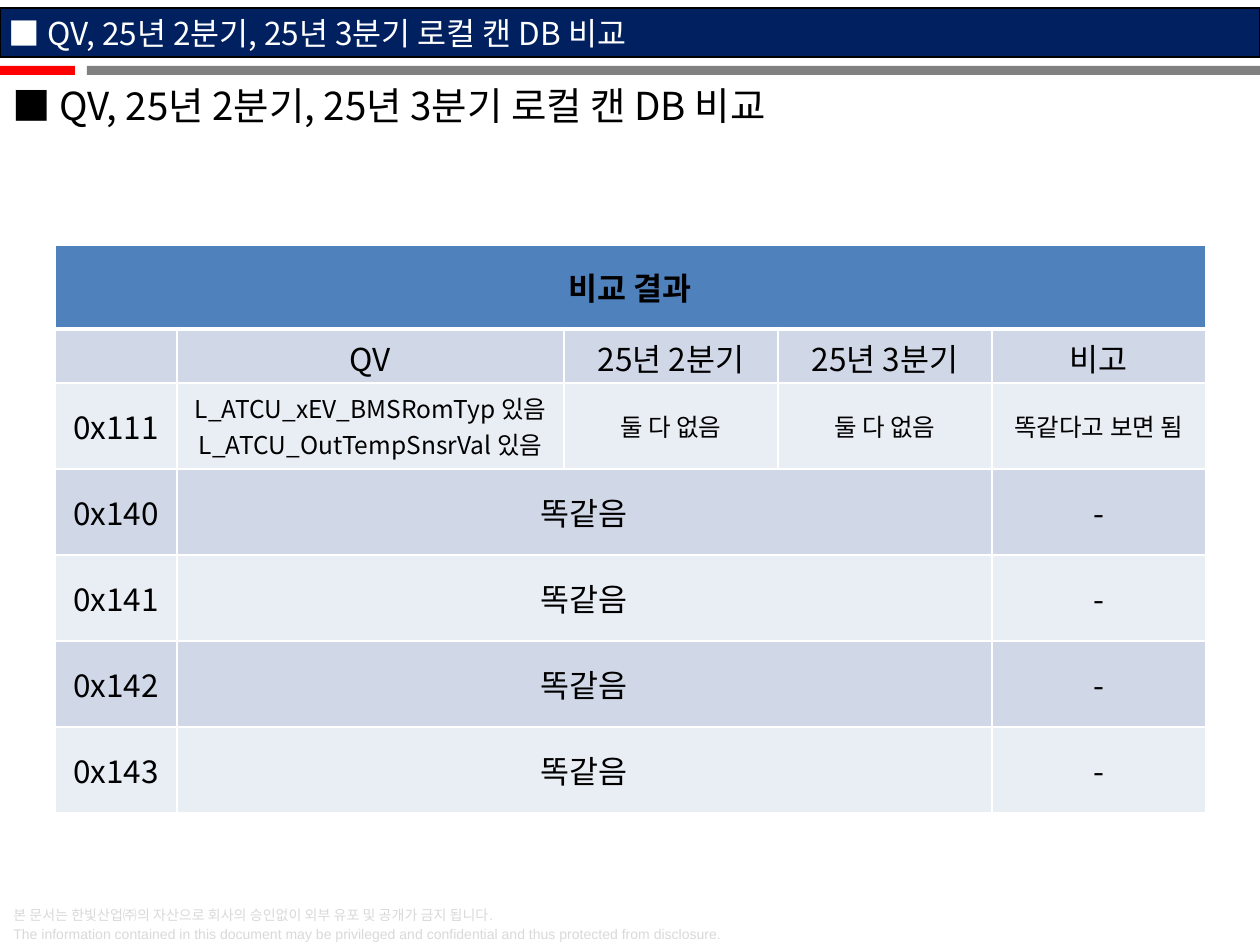
from dataclasses import dataclass

from lxml.etree import SubElement
from pptx import Presentation
from pptx.dml.color import RGBColor as Color
from pptx.enum.shapes import MSO_SHAPE as Form
from pptx.enum.text import MSO_ANCHOR as Anchor, PP_ALIGN as Align
from pptx.oxml.ns import qn
from pptx.util import Emu, Pt

SCALE = 914400 // 126


@dataclass(frozen=True)
class Theme:
    """Colours, fonts and type sizes of the slide."""
    navy: str = "002060"
    red: str = "FF0000"
    grey: str = "808080"
    pale: str = "D9D9D9"
    black: str = "000000"
    white: str = "FFFFFF"
    head: str = "4F81BD"
    bands: tuple = ("D0D8E8", "E9EDF4")
    font: str = "Noto Sans CJK KR"
    latin: str = "Arial"
    title: int = 22
    body: int = 18
    small: int = 14
    note: int = 8


class Deck:
    """Draws styled elements on the current slide."""

    def __init__(self, theme, width, height):
        """Start a deck with one blank slide."""
        self.theme = theme
        self.file = Presentation()
        self.file.slide_width, self.file.slide_height = self.px(width, height)
        self.slide = self.file.slides.add_slide(self.file.slide_layouts[6])

    def px(self, *sizes):
        """Turn px into EMU."""
        return [Emu(size * SCALE) for size in sizes]

    def set_text(self, frame, text, size, color, font=None, bold=False,
                 align=Align.LEFT, lead=None):
        """Fill a text frame, one paragraph a line."""
        frame.text = text
        for para in frame.paragraphs:
            para.alignment = align
            if lead:
                para.line_spacing = Pt(lead)
            style = para.font
            style.name = font or self.theme.font
            style.size, style.bold = Pt(size), bold
            style.color.rgb = Color.from_string(color)
            props = para._p.find(f".//{qn('a:defRPr')}")
            SubElement(props, qn("a:ea")).set("typeface", self.theme.font)

    def bar(self, box, fill, line=None):
        """Draw a flat rectangle."""
        shape = self.slide.shapes.add_shape(Form.RECTANGLE, *self.px(*box))
        shape.shadow.inherit = False
        shape.fill.solid()
        shape.fill.fore_color.rgb = Color.from_string(fill)
        if line:
            shape.line.color.rgb = Color.from_string(line)
            shape.line.width = Pt(0.75)
        else:
            shape.line.fill.background()
        return shape

    def banner(self, box, text):
        """Draw the title band."""
        look = self.theme
        frame = self.bar(box, look.navy, look.black).text_frame
        frame.word_wrap = True
        frame.vertical_anchor = Anchor.MIDDLE
        frame.margin_left, frame.margin_right = self.px(9, 9)
        frame.margin_top, frame.margin_bottom = self.px(5, 5)
        self.set_text(frame, text, look.body, look.white)

    def label(self, box, text, size, color, **style):
        """Add a wrapping text box."""
        frame = self.slide.shapes.add_textbox(*self.px(*box)).text_frame
        frame.word_wrap = True
        self.set_text(frame, text, size, color, **style)

    def edge(self, cell, **widths):
        """Set the white borders of a cell."""
        props = cell._tc.get_or_add_tcPr()
        for side in "LRTB":
            line = SubElement(props, qn(f"a:ln{side}"))
            line.set("w", str(Pt(widths.get(side, 1))))
            fill = SubElement(line, qn("a:solidFill"))
            SubElement(fill, qn("a:srgbClr")).set("val", self.theme.white)

    def table(self, left, top, cols, rows, data):
        """Add the banded table; None joins a cell to the one before."""
        look = self.theme
        box = self.px(left, top, sum(cols), sum(rows))
        grid = self.slide.shapes.add_table(len(rows), len(cols), *box).table
        for col, width in zip(grid.columns, self.px(*cols)):
            col.width = width
        for row, height in zip(grid.rows, self.px(*rows)):
            row.height = height
        for r, line in enumerate(data):
            fill = look.bands[(r - 1) % 2] if r else look.head
            thick = {0: {"B": 3}, 1: {"T": 3}}.get(r, {})
            for c, text in enumerate(line):
                cell = grid.cell(r, c)
                self.edge(cell, **thick)
                cell.fill.solid()
                cell.fill.fore_color.rgb = Color.from_string(fill)
                cell.vertical_anchor = Anchor.MIDDLE
                if text:
                    size = look.small if r == 2 and c else look.body
                    self.set_text(cell.text_frame, text, size, look.black,
                                  bold=r == 0, align=Align.CENTER)
            if None in line:
                start = line.index(None)
                end = start + line.count(None) - 1
                grid.cell(r, start - 1).merge(grid.cell(r, end))


def main():
    """Build the comparison slide."""
    look = Theme()
    deck = Deck(look, 1260, 945)
    title = "■ QV, 25년 2분기, 25년 3분기 로컬 캔 DB 비교"
    note = ("본 문서는 한빛산업㈜의 자산으로 회사의 승인없이 외부 유포 및 공개가 금지 됩니다.\n"
            "The information contained in this document may be privileged "
            "and confidential and thus protected from disclosure.")
    deck.bar((0, 66, 75, 9), look.red)
    deck.bar((87, 66, 1173, 9), look.grey)
    deck.label((1, 898, 932, 52), note, look.note, look.pale,
               font=look.latin, lead=11)
    deck.banner((0, 8, 1260, 49), title)
    deck.label((0, 76, 858, 59), title, look.title, look.black)
    same = [[code, "똑같음", None, None, "-"]
            for code in ("0x140", "0x141", "0x142", "0x143")]
    data = [
        ["비교 결과", None, None, None, None],
        ["", "QV", "25년 2분기", "25년 3분기", "비고"],
        ["0x111", "L_ATCU_xEV_BMSRomTyp 있음\nL_ATCU_OutTempSnsrVal 있음",
         "둘 다 없음", "둘 다 없음", "똑같다고 보면 됨"],
        *same,
    ]
    deck.table(55, 245, [122, 387] + [214] * 3, [84, 54] + [86] * 5, data)
    deck.file.save("out.pptx")


if __name__ == "__main__":
    main()
